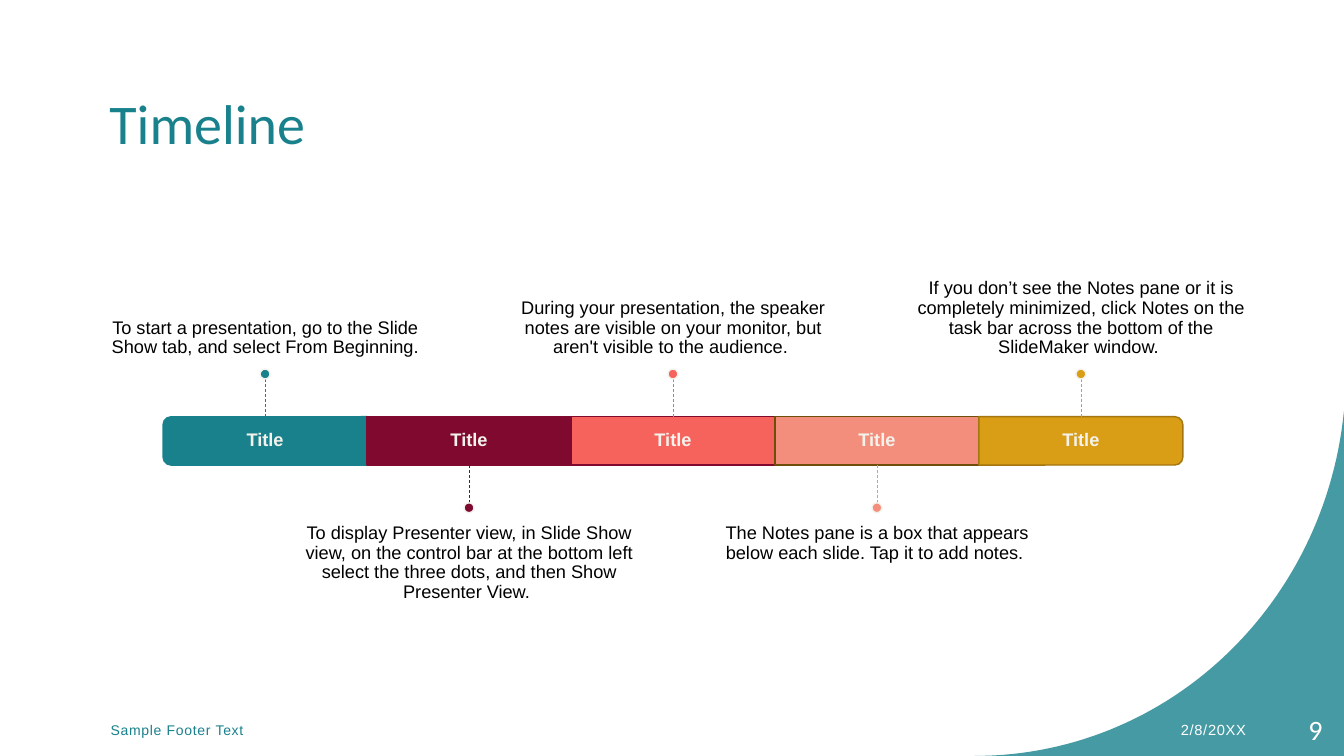
"""Build the Timeline slide with five alternating milestones."""
from lxml import etree
from pptx import Presentation
from pptx.dml.color import RGBColor
from pptx.enum.dml import MSO_LINE
from pptx.enum.shapes import MSO_CONNECTOR, MSO_SHAPE
from pptx.enum.text import MSO_ANCHOR, PP_ALIGN
from pptx.oxml.ns import qn
from pptx.util import Cm, Pt

TOP, MIDDLE, BOTTOM = MSO_ANCHOR.TOP, MSO_ANCHOR.MIDDLE, MSO_ANCHOR.BOTTOM
LEFT, CENTER, RIGHT = PP_ALIGN.LEFT, PP_ALIGN.CENTER, PP_ALIGN.RIGHT
RECTANGLE, OVAL = MSO_SHAPE.RECTANGLE, MSO_SHAPE.OVAL
ROUND_END = MSO_SHAPE.ROUND_2_SAME_RECTANGLE
STRAIGHT, DASH = MSO_CONNECTOR.STRAIGHT, MSO_LINE.DASH

COLORS = {
    "teal": "18818C", "wine": "800A2F", "coral": "F6635C", "salmon": "F48E7C",
    "gold": "DA9D16", "brown": "6D4E0B", "bronze": "A37610",
    "cream": "F4F2EC", "black": "000000", "white": "FFFFFF",
}
SLIDE_WIDTH, SLIDE_HEIGHT = 33.87, 19.05
FIRST_CENTER, STEP = 6.68, 5.14
BAR_TOP, BAR_HEIGHT = 10.5, 1.22
STEM, DOT = 0.95, 0.25
NOTE_WIDTH, NOTE_HEIGHT = 8.58, 4.24
INSET = 0.28
MILESTONES = [
    ("teal", "teal", 270, "To start a presentation, go to the Slide Show tab, "
     "and select From Beginning."),
    ("wine", "wine", 0, "To display Presenter view, in Slide Show view, on the control bar "
     "at the bottom left select the three dots, and then Show Presenter View.\u00a0"),
    ("coral", "wine", 0, "During your presentation, the speaker notes are visible on your "
     "monitor, but aren't visible to the audience.\u00a0"),
    ("salmon", "brown", 0, "The Notes pane is a box that appears below each slide. "
     "Tap it to add notes.\u00a0"),
    ("gold", "bronze", 90, "If you don\u2019t see the Notes pane or it is completely minimized, "
     "click Notes on the task bar across the bottom of the SlideMaker window.\u00a0"),
]


def rgb(name):
    """Return the named colour."""
    return RGBColor.from_string(COLORS[name])


def add_text(slide, text, left, top, width, height, *, size, color, font="Arial",
             bold=False, align=LEFT, anchor=MIDDLE, line_spacing=1.0,
             insets=(0.25, 0.13, 0.25, 0.13), tracking=0):
    """Add a wrapped one-paragraph text box; insets run left, top, right, bottom."""
    frame = slide.shapes.add_textbox(Cm(left), Cm(top), Cm(width), Cm(height)).text_frame
    frame.word_wrap = True
    frame.vertical_anchor = anchor
    frame.margin_left, frame.margin_top, frame.margin_right, frame.margin_bottom = map(Cm, insets)
    paragraph = frame.paragraphs[0]
    paragraph.alignment = align
    paragraph.line_spacing = line_spacing
    run = paragraph.add_run()
    run.text = text
    run.font.name = font
    run.font.size = Pt(size)
    run.font.bold = bold
    run.font.color.rgb = rgb(color)
    if tracking:
        run.font._element.set("spc", str(round(tracking * 100)))


def add_filled_shape(slide, kind, left, top, width, height, fill, line, rotation=0):
    """Add a preset shape with a solid fill and a one-point outline."""
    shape = slide.shapes.add_shape(kind, Cm(left), Cm(top), Cm(width), Cm(height))
    shape.shadow.inherit = False
    shape.rotation = rotation
    shape.fill.solid()
    shape.fill.fore_color.rgb = rgb(fill)
    shape.line.color.rgb = rgb(line)
    shape.line.width = Pt(1)


def add_stem(slide, center, start, end, color):
    """Add the thin dashed vertical line between bar and dot."""
    stem = slide.shapes.add_connector(STRAIGHT, Cm(center), Cm(start), Cm(center), Cm(end))
    stem.line.color.rgb = rgb(color)
    stem.line.width = Pt(0.5)
    stem.line.dash_style = DASH
    etree.SubElement(stem._element.spPr, qn("a:effectLst"))


def add_corner(slide):
    """Add the translucent curved corner at the bottom right."""
    controls = [(24.56, SLIDE_HEIGHT), (29.39, SLIDE_HEIGHT),
                (33.38, 15.29), (SLIDE_WIDTH, 10.36)]
    points = []
    for step in range(61):
        t = step / 60
        weights = ((1 - t) ** 3, 3 * t * (1 - t) ** 2, 3 * t * t * (1 - t), t ** 3)
        points.append(tuple(Cm(sum(weight * control[axis] for weight, control
                                   in zip(weights, controls))) for axis in (0, 1)))
    builder = slide.shapes.build_freeform(*points[0])
    builder.add_line_segments(points[1:] + [(Cm(SLIDE_WIDTH), Cm(SLIDE_HEIGHT))])
    corner = builder.convert_to_shape()
    corner.shadow.inherit = False
    corner.fill.solid()
    corner.fill.fore_color.rgb = rgb("teal")
    corner.line.fill.background()
    color = corner._element.spPr.find(qn("a:solidFill"))[0]
    etree.SubElement(color, qn("a:alpha")).set("val", "80000")


def add_milestone(slide, index, fill, line, rotation, note):
    """Add a bar segment with its title, stem, dot and note, above or below in turn."""
    center = FIRST_CENTER + index * STEP
    left = center - STEP / 2
    if rotation:
        middle = BAR_TOP + BAR_HEIGHT / 2
        add_filled_shape(slide, ROUND_END, center - BAR_HEIGHT / 2, middle - STEP / 2,
                         BAR_HEIGHT, STEP, fill, line, rotation)
    else:
        add_filled_shape(slide, RECTANGLE, left, BAR_TOP, STEP, BAR_HEIGHT, fill, line)
    add_text(slide, "Title", left, BAR_TOP, STEP, BAR_HEIGHT, size=13, color="cream",
             bold=True, align=CENTER, line_spacing=0.9, insets=(INSET,) * 4)
    if index % 2 == 0:
        start, end = BAR_TOP, BAR_TOP - STEM
        dot_top = end - DOT
        note_top, anchor, insets = dot_top - NOTE_HEIGHT, BOTTOM, (0, 0, 0, INSET)
    else:
        start, end = BAR_TOP + BAR_HEIGHT, BAR_TOP + BAR_HEIGHT + STEM
        dot_top = end
        note_top, anchor, insets = dot_top + DOT, TOP, (0, INSET, 0, 0)
    add_text(slide, note, center - NOTE_WIDTH / 2, note_top, NOTE_WIDTH, NOTE_HEIGHT,
             size=13, color="black", align=CENTER, anchor=anchor,
             line_spacing=0.9, insets=insets)
    add_stem(slide, center, start, end, fill)
    add_filled_shape(slide, OVAL, center - DOT / 2, dot_top, DOT, DOT, fill, "cream")


def main():
    """Build and save the slide."""
    presentation = Presentation()
    presentation.slide_width = Cm(SLIDE_WIDTH)
    presentation.slide_height = Cm(SLIDE_HEIGHT)
    slide = presentation.slides.add_slide(presentation.slide_layouts[6])
    add_corner(slide)
    add_text(slide, "Timeline", 2.51, 1.24, 27.53, 3.68, size=40, color="teal", font="Calibri")
    for index, milestone in enumerate(MILESTONES):
        add_milestone(slide, index, *milestone)
    add_text(slide, "Sample Footer Text", 2.54, 17.88, 10.49, 1.02,
             size=10, color="teal", tracking=0.5)
    add_text(slide, "2/8/20XX", 25.91, 17.88, 5.74, 1.02,
             size=10.5, color="white", align=RIGHT, tracking=0.5)
    add_text(slide, "9", 31.65, 17.88, 1.93, 1.02,
             size=20, color="white", font="Calibri", align=RIGHT)
    presentation.save("out.pptx")


main()
